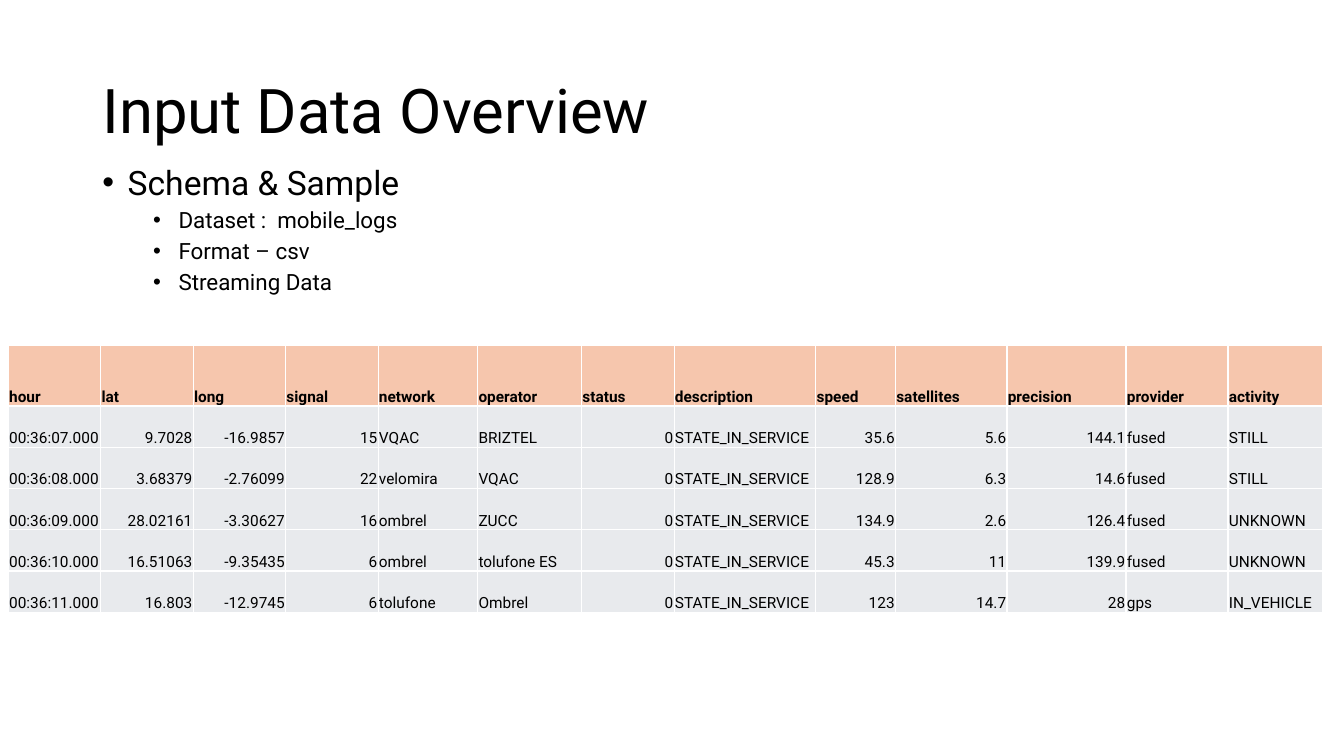
from dataclasses import dataclass

from lxml.etree import SubElement as Sub
from pptx import Presentation
from pptx.dml.color import RGBColor as Rgb
from pptx.enum.text import MSO_ANCHOR as Anchor, PP_ALIGN as Align
from pptx.oxml.ns import qn
from pptx.slide import Slide
from pptx.table import _Cell as Cell
from pptx.text.text import TextFrame as Frame, _Paragraph as Para
from pptx.util import Cm, Pt


@dataclass(frozen=True)
class Theme:
    font: str = "Roboto"
    ink: str = "000000"
    head: str = "F6C6AD"
    body: str = "E8EAED"
    rule: str = "FFFFFF"
    title: float = 44
    main: float = 24
    sub: float = 16
    cell: float = 11


@dataclass(frozen=True)
class Item:
    text: str
    size: float
    left: float
    gap: float
    level: int = 1


@dataclass(frozen=True)
class Field:
    name: str
    width: float
    values: tuple[str, ...]
    right: bool = False


THEME = Theme()
HANG = 0.64
ROW_TOP, ROW = 1.52, 1.04

ITEMS = [
    Item("Schema & Sample", THEME.main, HANG, 0, 0),
    Item("Dataset :  mobile_logs", THEME.sub, 3 * HANG, 5),
    Item("Format – csv", THEME.sub, 3 * HANG, 5),
    Item("Streaming Data", THEME.sub, 3 * HANG, 5),
]

FIELDS = [
    Field("hour", 2.33, tuple(f"00:36:{sec:02}.000" for sec in range(7, 12))),
    Field("lat", 2.33, ("9.7028", "3.68379", "28.02161", "16.51063", "16.803"), True),
    Field("long", 2.33, ("-16.9857", "-2.76099", "-3.30627", "-9.35435", "-12.9745"), True),
    Field("signal", 2.33, ("15", "22", "16", "6", "6"), True),
    Field("network", 2.51, ("VQAC", "velomira", "ombrel", "ombrel", "tolufone")),
    Field("operator", 2.62, ("BRIZTEL", "VQAC", "ZUCC", "tolufone ES", "Ombrel")),
    Field("status", 2.33, ("0",) * 5, True),
    Field("description", 3.57, ("STATE_IN_SERVICE",) * 5),
    Field("speed", 2.01, ("35.6", "128.9", "134.9", "45.3", "123"), True),
    Field("satellites", 2.81, ("5.6", "6.3", "2.6", "11", "14.7"), True),
    Field("precision", 3, ("144.1", "14.6", "126.4", "139.9", "28"), True),
    Field("provider", 2.57, ("fused",) * 4 + ("gps",)),
    Field("activity", 2.38, ("STILL", "STILL", "UNKNOWN", "UNKNOWN", "IN_VEHICLE")),
]


def style(para: Para, size: float, bold: bool = False) -> None:
    for run in para.runs:
        run.font.name = THEME.font
        run.font.size = Pt(size)
        run.font.bold = bold
        run.font.color.rgb = Rgb.from_string(THEME.ink)


def add_box(slide: Slide, top: float, height: float, anchor: Anchor) -> Frame:
    frame = slide.shapes.add_textbox(Cm(2.33), Cm(top), Cm(29.21), Cm(height)).text_frame
    frame.word_wrap = True
    frame.vertical_anchor = anchor
    return frame


def add_title(slide: Slide, text: str) -> None:
    para = add_box(slide, 1.01, 3.68, Anchor.MIDDLE).paragraphs[0]
    para.text = text
    para.line_spacing = 0.9
    style(para, THEME.title)


def add_bullet(para: Para, left: float) -> None:
    props = para._p.get_or_add_pPr()
    props.set("marL", str(Cm(left)))
    props.set("indent", str(-Cm(HANG)))
    Sub(props, qn("a:buFont"), typeface="Arial")
    Sub(props, qn("a:buChar"), char="•")


def add_list(slide: Slide, items: list[Item]) -> None:
    frame = add_box(slide, 4.06, 12.09, Anchor.TOP)
    for num, item in enumerate(items):
        para = frame.add_paragraph() if num else frame.paragraphs[0]
        para.text = item.text
        para.level = item.level
        add_bullet(para, item.left)
        para.line_spacing = 0.9
        para.space_before = Pt(item.gap)
        style(para, item.size)


def add_rules(cell: Cell) -> None:
    """Draw a thin line on all four sides; call before the cell is filled."""
    props = cell._tc.get_or_add_tcPr()
    for side in "LRTB":
        line = Sub(props, qn(f"a:ln{side}"), w=str(Pt(1)))
        Sub(Sub(line, qn("a:solidFill")), qn("a:srgbClr"), val=THEME.rule)


def fill_cell(cell: Cell, text: str, head: bool, right: bool) -> None:
    add_rules(cell)
    cell.fill.solid()
    cell.fill.fore_color.rgb = Rgb.from_string(THEME.head if head else THEME.body)
    cell.margin_left = cell.margin_right = cell.margin_top = Cm(0.02)
    cell.margin_bottom = 0
    cell.vertical_anchor = Anchor.BOTTOM
    para = cell.text_frame.paragraphs[0]
    para.text = text
    para.alignment = Align.RIGHT if right else Align.LEFT
    style(para, THEME.cell, head)


def add_grid(slide: Slide, fields: list[Field]) -> None:
    count = len(fields[0].values)
    width = sum(field.width for field in fields)
    table = slide.shapes.add_table(
        count + 1, len(fields), Cm(0.21), Cm(8.71), Cm(width), Cm(ROW_TOP + count * ROW)
    ).table
    table.horz_banding = False
    for num, row in enumerate(table.rows):
        row.height = Cm(ROW if num else ROW_TOP)
    for col, field in enumerate(fields):
        table.columns[col].width = Cm(field.width)
        for row, text in enumerate((field.name, *field.values)):
            head = row == 0
            fill_cell(table.cell(row, col), text, head, field.right and not head)


def main() -> None:
    deck = Presentation()
    deck.slide_width, deck.slide_height = Cm(33.87), Cm(19.05)
    slide = deck.slides.add_slide(deck.slide_layouts[6])
    add_title(slide, "Input Data Overview")
    add_list(slide, ITEMS)
    add_grid(slide, FIELDS)
    deck.save("out.pptx")


if __name__ == "__main__":
    main()
